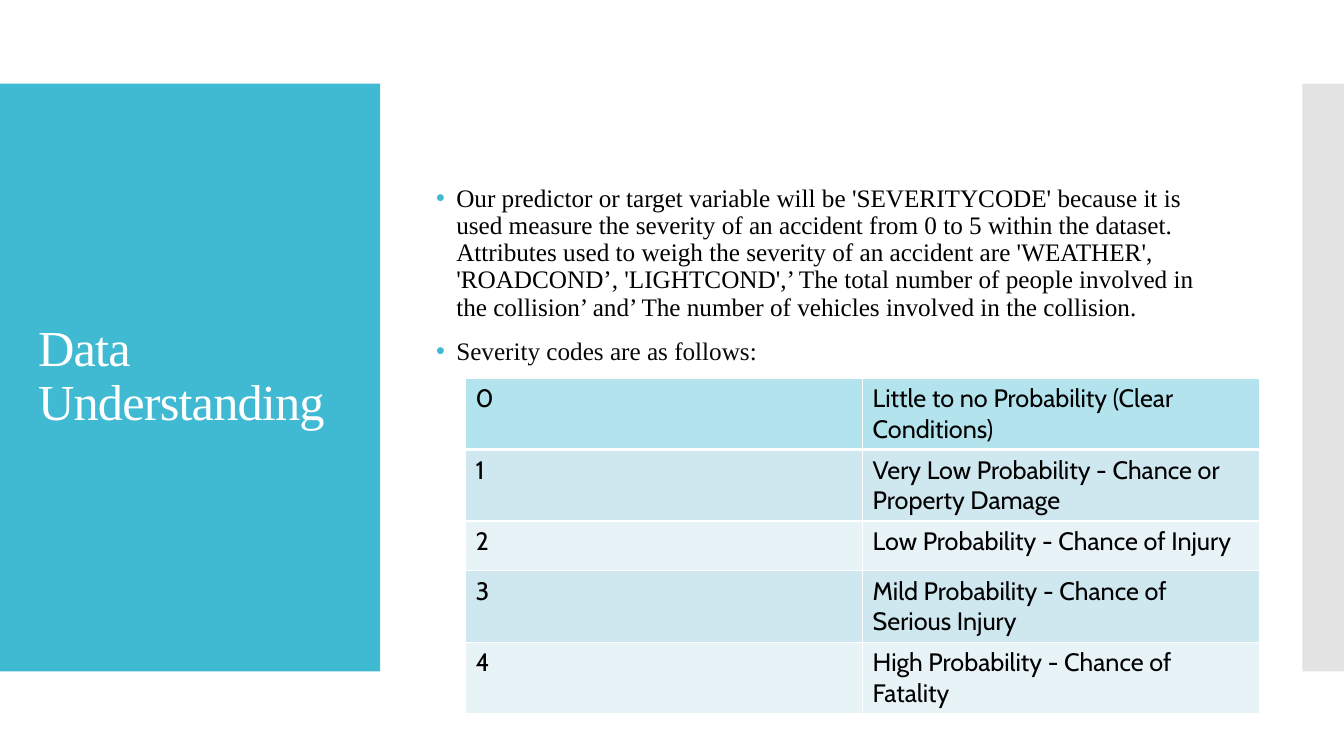
from dataclasses import dataclass

from lxml.etree import SubElement
from pptx import Presentation
from pptx.dml.color import RGBColor
from pptx.enum.shapes import MSO_SHAPE as Shape
from pptx.enum.text import MSO_ANCHOR as Anchor
from pptx.oxml.ns import qn
from pptx.util import Cm, Pt


@dataclass(frozen=True)
class Theme:
    accent: str = "40BAD2"
    side: str = "C8C8C8"
    white: str = "FFFFFF"
    black: str = "000000"
    ink: str = "08090A"
    header: str = "B3E3ED"
    bands: tuple = ("CFE7EE", "E8F3F7")
    serif: str = "Times New Roman"
    sans: str = "Cabin"
    title_size: int = 36
    body_size: int = 18


theme = Theme()


def add_span(para, text, font, size, color):
    span = para.add_run()
    span.text = text
    span.font.name = font
    span.font.size = Pt(size)
    span.font.color.rgb = RGBColor.from_string(color)
    return span


def add_border(cell, side, width):
    """Draw a white line on one side (L, R, T or B) of a table cell."""
    line = SubElement(cell._tc.get_or_add_tcPr(), qn(f"a:ln{side}"), w=str(Pt(width)))
    SubElement(SubElement(line, qn("a:solidFill")), qn("a:srgbClr"), val=theme.white)


deck = Presentation()
deck.slide_width, deck.slide_height = Cm(33.87), Cm(19.05)
page = deck.slides.add_slide(deck.slide_layouts[6])

# Side panels
for left, width, color in ((0, 9.58, theme.accent), (32.82, 1.05, theme.side)):
    panel = page.shapes.add_shape(Shape.RECTANGLE, Cm(left), Cm(2.11), Cm(width), Cm(14.81))
    panel.shadow.inherit = False
    panel.fill.solid()
    panel.fill.fore_color.rgb = RGBColor.from_string(color)
    panel.line.fill.background()
    if color == theme.side:
        tint = panel._element.spPr.find(qn("a:solidFill")).find(qn("a:srgbClr"))
        SubElement(tint, qn("a:alpha"), val="50000")

# Title
title_box = page.shapes.add_textbox(Cm(0.71), Cm(3.12), Cm(8.18), Cm(12.78))
title_box.text_frame.word_wrap = True
title_box.text_frame.vertical_anchor = Anchor.MIDDLE
para = title_box.text_frame.paragraphs[0]
para.line_spacing = 0.9
span = add_span(para, "Data Understanding", theme.serif, theme.title_size, theme.white)
span._r.get_or_add_rPr().set("spc", "-60")

# Bullets
bullets = (
    ("Our predictor or target variable will be 'SEVERITYCODE' because it is used measure "
     "the severity of an accident from 0 to 5 within the dataset. Attributes used to weigh "
     "the severity of an accident are 'WEATHER', 'ROADCOND’, 'LIGHTCOND',’ The total number "
     "of people involved in the collision’ and’ The number of vehicles involved in the "
     "collision.", theme.black),
    ("Severity codes are as follows:", theme.ink),
)
body_box = page.shapes.add_textbox(Cm(10.74), Cm(4.55), Cm(20.32), Cm(4.8))
body = body_box.text_frame
body.word_wrap = True
for index, (text, color) in enumerate(bullets):
    para = body.add_paragraph() if index else body.paragraphs[0]
    para.line_spacing = 0.9
    para.space_before = Pt(12 if index else 0)
    layout = para._p.get_or_add_pPr()
    layout.set("marL", str(Cm(0.51)))
    layout.set("indent", str(-Cm(0.51)))
    SubElement(SubElement(layout, qn("a:buClr")), qn("a:srgbClr"), val=theme.accent)
    SubElement(layout, qn("a:buFont"), typeface="Arial")
    SubElement(layout, qn("a:buChar"), char="•")
    add_span(para, text, theme.serif, theme.body_size, color)

# Severity table
severities = (
    ("Little to no Probability (Clear Conditions)", 1.8),
    ("Very Low Probability - Chance or Property Damage", 1.8),
    ("Low Probability - Chance of Injury", 1.25),
    ("Mild Probability - Chance of Serious Injury", 1.8),
    ("High Probability - Chance of Fatality", 1.8),
)
table = page.shapes.add_table(
    len(severities), 2, Cm(11.73), Cm(9.53), Cm(20.02), Cm(8.45)).table
table.first_row = False
table.horz_banding = False
for code, (meaning, height) in enumerate(severities):
    table.rows[code].height = Cm(height)
    fill = theme.bands[(code - 1) % 2] if code else theme.header
    for column, text in enumerate((str(code), meaning)):
        cell = table.cell(code, column)
        for side in "LRTB":
            header_edge = (code, side) in ((0, "B"), (1, "T"))
            add_border(cell, side, 3 if header_edge else 1)
        cell.fill.solid()
        cell.fill.fore_color.rgb = RGBColor.from_string(fill)
        add_span(cell.text_frame.paragraphs[0], text, theme.sans, theme.body_size, theme.black)

deck.save("out.pptx")
